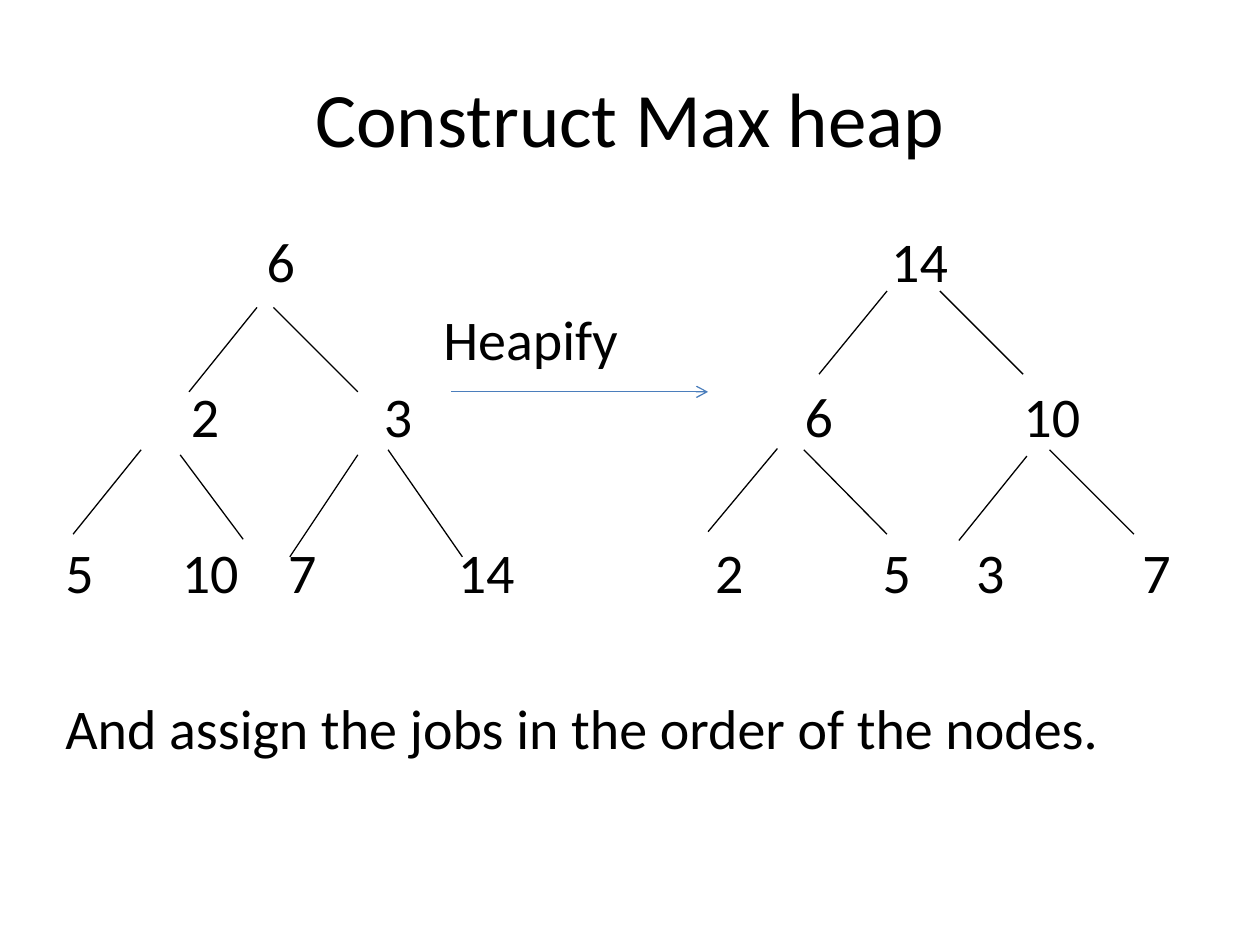
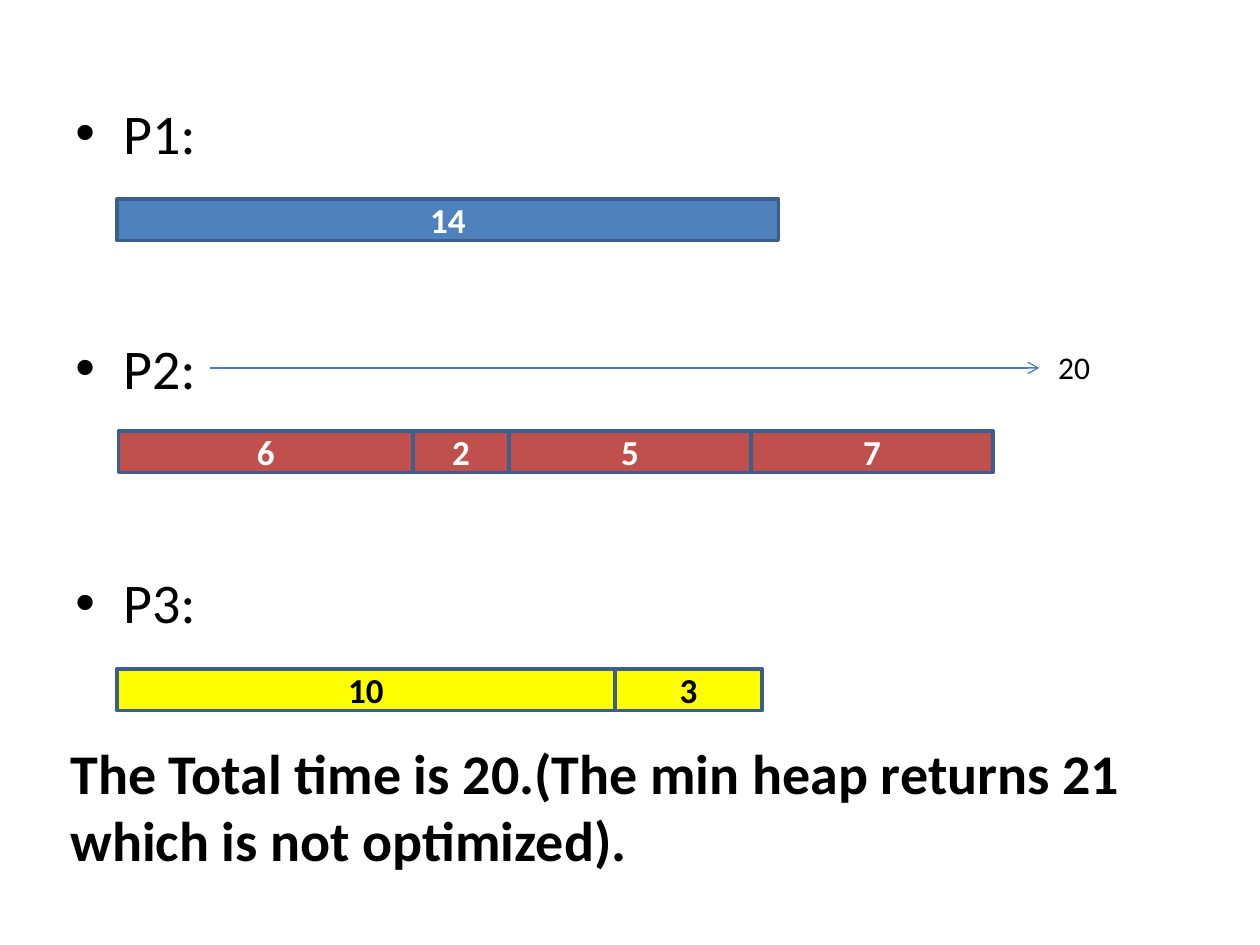
from lxml.etree import SubElement
from pptx import Presentation
from pptx.dml.color import RGBColor
from pptx.enum.shapes import MSO_CONNECTOR as CONNECTOR, MSO_SHAPE as SHAPE
from pptx.enum.text import MSO_ANCHOR as ANCHOR, PP_ALIGN as ALIGN
from pptx.oxml.ns import qn
from pptx.util import Inches, Pt

FONT = "Calibri"
BLACK = RGBColor(0x00, 0x00, 0x00)
WHITE = RGBColor(0xFF, 0xFF, 0xFF)
BLUE = RGBColor(0x4F, 0x81, 0xBD)
RED = RGBColor(0xC0, 0x50, 0x4D)
YELLOW = RGBColor(0xFF, 0xFF, 0x00)
BAR_BORDER = RGBColor(0x3A, 0x5F, 0x8C)
ARROW_BLUE = RGBColor(0x4B, 0x7E, 0xBC)

LINE_GAP = 5.8
SKIP_ROW_GAP = 50.7
PROCESSOR_GAP = 95.8
BAR_HEIGHT = 0.33

TREE_ROWS = [
    (["6", "14"], [1.71, 6.78], "ctr", 0),
    (["Heapify"], [3.0], "l", LINE_GAP),
    (["2", "3", "6", "10"], [1.11, 2.64, 5.98, 7.83], "ctr", LINE_GAP),
    (["5", "10", "7", "14", "2", "5", "3", "7"],
     [0.11, 1.15, 1.88, 3.34, 5.27, 6.6, 7.34, 8.66], "ctr", SKIP_ROW_GAP),
]
TREE_EDGES = [
    (2.04, 2.44, 1.5, 3.11), (2.17, 2.44, 2.84, 3.11),
    (1.12, 3.57, 0.58, 4.24), (1.43, 3.61, 1.93, 4.28),
    (2.84, 3.61, 2.3, 4.42), (3.08, 3.57, 3.67, 4.42),
    (7.04, 2.31, 6.5, 2.97), (7.46, 2.31, 8.12, 2.97),
    (6.17, 3.56, 5.62, 4.22), (6.38, 3.57, 7.04, 4.24),
    (8.15, 3.62, 7.61, 4.29), (8.33, 3.57, 9, 4.24),
]
SCHEDULE = [
    (0.93, 1.58, BLUE, WHITE, [("14", 5.25)]),
    (0.94, 3.42, RED, WHITE,
     [("6", 2.34), ("2", 0.76), ("5", 1.92), ("7", 1.92)]),
    (0.93, 5.31, YELLOW, BLACK, [("10", 3.95), ("3", 1.17)]),
]


def add_box(slide, left, top, width, height, wrap=True, anchor=ANCHOR.TOP):
    shape = slide.shapes.add_textbox(
        Inches(left), Inches(top), Inches(width), Inches(height))
    shape.text_frame.word_wrap = wrap
    shape.text_frame.vertical_anchor = anchor
    return shape.text_frame


def add_text(frame, text, size=32, color=BLACK, bold=False, align=ALIGN.LEFT,
             before=0, tabs=(), tab_align="l", bullet=None):
    paragraph = frame.paragraphs[0]
    if paragraph.runs:
        paragraph = frame.add_paragraph()
    properties = paragraph._p.get_or_add_pPr()
    if bullet:
        properties.set("marL", str(Inches(0.38)))
        properties.set("indent", str(Inches(-0.38)))
        SubElement(properties, qn("a:buFont"), typeface="Arial")
        SubElement(properties, qn("a:buChar"), char=bullet)
    if tabs:
        tab_list = SubElement(properties, qn("a:tabLst"))
        for position in tabs:
            SubElement(tab_list, qn("a:tab"), pos=str(Inches(position)), algn=tab_align)
    paragraph.alignment = align
    if before:
        paragraph.space_before = Pt(before)
    run = paragraph.add_run()
    run.text = text
    run.font.name = FONT
    run.font.size = Pt(size)
    run.font.bold = bold
    run.font.color.rgb = color


def add_line(slide, start_x, start_y, end_x, end_y, color=BLACK, arrow=False):
    connector = slide.shapes.add_connector(
        CONNECTOR.STRAIGHT, Inches(start_x), Inches(start_y),
        Inches(end_x), Inches(end_y))
    connector.line.color.rgb = color
    connector.line.width = Pt(0.75)
    if arrow:
        SubElement(connector.line._get_or_add_ln(), qn("a:tailEnd"), type="arrow")
    SubElement(connector._element.spPr, qn("a:effectLst"))


def add_job(slide, left, top, width, label, fill, color):
    shape = slide.shapes.add_shape(
        SHAPE.RECTANGLE, Inches(left), Inches(top), Inches(width), Inches(BAR_HEIGHT))
    shape.shadow.inherit = False
    shape.fill.solid()
    shape.fill.fore_color.rgb = fill
    shape.line.color.rgb = BAR_BORDER
    shape.line.width = Pt(2)
    shape.text_frame.vertical_anchor = ANCHOR.MIDDLE
    add_text(shape.text_frame, label, size=20, color=color, bold=True, align=ALIGN.CENTER)


def add_job_row(slide, left, top, fill, color, jobs):
    for label, width in jobs:
        add_job(slide, left, top, width, label, fill, color)
        left += width


def build_heap_slide(slide):
    title = add_box(slide, 0.5, 0.3, 9, 1.25, anchor=ANCHOR.MIDDLE)
    add_text(title, "Construct Max heap", size=44, align=ALIGN.CENTER)
    body = add_box(slide, 0.42, 1.75, 9.25, 4.95)
    for labels, tabs, tab_align, before in TREE_ROWS:
        add_text(body, "\t" + "\t".join(labels), before=before,
                 tabs=tabs, tab_align=tab_align)
    add_text(body, "And assign the jobs in the order of the nodes.", before=SKIP_ROW_GAP)
    for edge in TREE_EDGES:
        add_line(slide, *edge)
    add_line(slide, 3.58, 3.11, 5.62, 3.11, color=ARROW_BLUE, arrow=True)


def build_schedule_slide(slide):
    body = add_box(slide, 0.5, 0.73, 9, 4.95)
    for index, processor in enumerate(["P1:", "P2:", "P3:"]):
        add_text(body, processor, bullet="•", before=PROCESSOR_GAP if index else 0)
    for row in SCHEDULE:
        add_job_row(slide, *row)
    conclusion = add_box(slide, 0.46, 5.81, 9.04, 1.18)
    add_text(conclusion, "The Total time is 20.(The min heap returns 21 which is not optimized).",
             bold=True)
    add_line(slide, 1.67, 2.92, 8.25, 2.92, color=ARROW_BLUE, arrow=True)
    add_text(add_box(slide, 8.3, 2.71, 0.46, 0.4, wrap=False), "20", size=18)


def main():
    presentation = Presentation()
    presentation.slide_width = Inches(10)
    presentation.slide_height = Inches(7.5)
    blank = presentation.slide_layouts[6]
    for build in (build_heap_slide, build_schedule_slide):
        build(presentation.slides.add_slide(blank))
    presentation.save("out.pptx")


if __name__ == "__main__":
    main()
